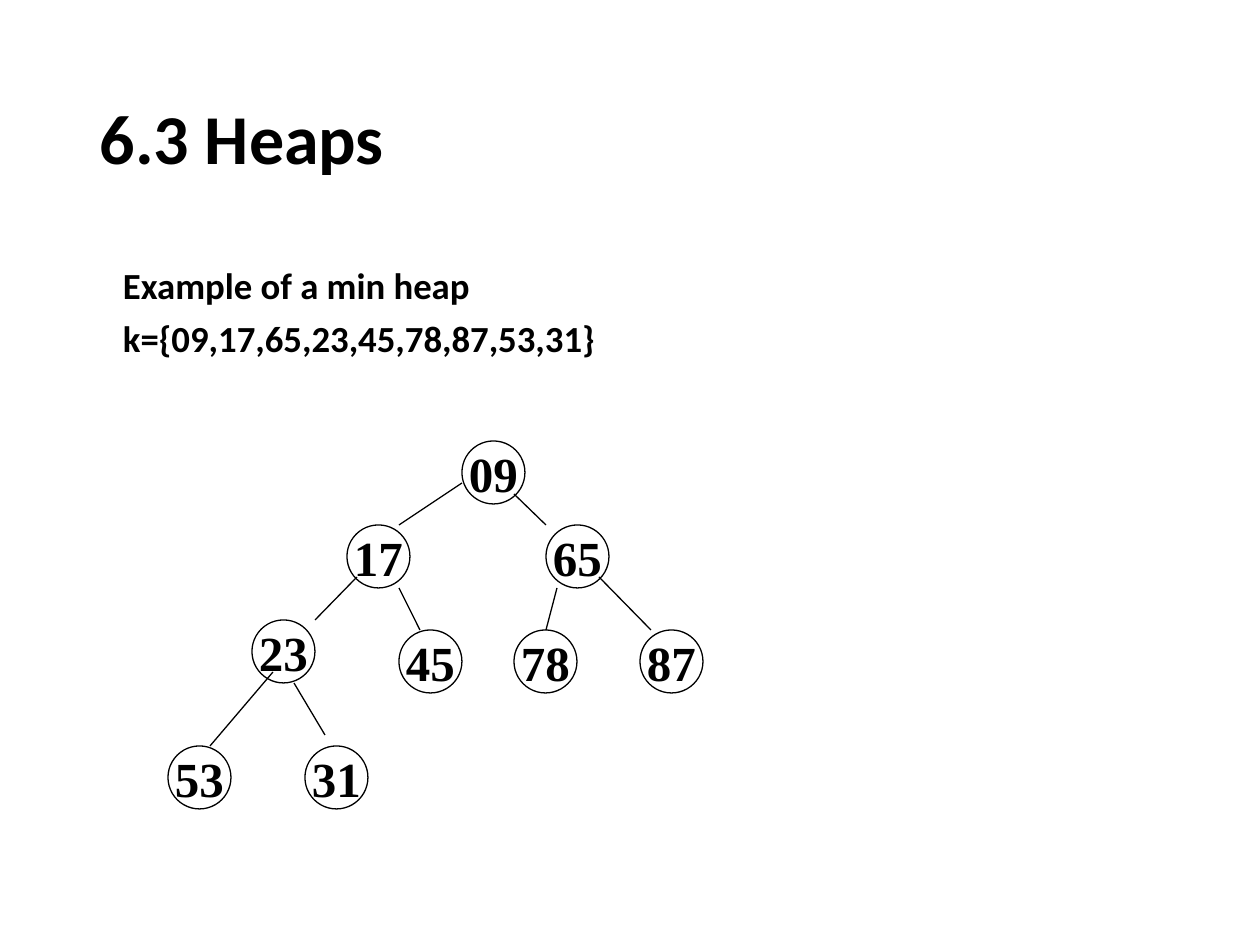
"""Builds the slide on heaps with a min heap drawn as a tree."""
import pptx
import pptx.dml.color
import pptx.enum.shapes
import pptx.enum.text
import pptx.oxml
import pptx.oxml.ns
import pptx.util

EMU_PER_PIXEL = 914400 / 126
BLACK = "000000"
NODE_SIZE = 63
LINE_WIDTH = 0.74

HEAP_NODES = {
    "09": (462, 441),
    "17": (347, 525),
    "23": (252, 620),
    "45": (399, 630),
    "65": (546, 525),
    "78": (514, 630),
    "53": (168, 746),
    "87": (640, 630),
    "31": (305, 746),
}
HEAP_EDGES = [
    (462, 483, 399, 525),
    (514, 494, 546, 525),
    (357, 577, 315, 620),
    (273, 672, 210, 746),
    (399, 588, 420, 630),
    (294, 683, 325, 735),
    (557, 588, 546, 630),
    (599, 577, 651, 630),
]


def px(pixels):
    """Turn pixels into EMU."""
    return pptx.util.Emu(round(pixels * EMU_PER_PIXEL))


def color(hex_value):
    """Turn a hex string into a colour."""
    return pptx.dml.color.RGBColor.from_string(hex_value)


def format_text(frame, font, size, align, before=0, spacing=1.0):
    """Format every paragraph and run of a text frame in bold black."""
    for paragraph in frame.paragraphs:
        paragraph.alignment = align
        paragraph.space_before = pptx.util.Pt(before)
        paragraph.line_spacing = spacing
        for run in paragraph.runs:
            run.font.name = font
            run.font.size = pptx.util.Pt(size)
            run.font.bold = True
            run.font.color.rgb = color(BLACK)


def style_line(line):
    """Give an outline or edge the thin black stroke."""
    line.color.rgb = color(BLACK)
    line.width = pptx.util.Pt(LINE_WIDTH)


def set_title(slide, text):
    """Place and format the title."""
    title = slide.shapes.title
    title.left, title.top, title.width, title.height = map(px, (87, 50, 1087, 183))
    title.text_frame.text = text
    title.text_frame.vertical_anchor = pptx.enum.text.MSO_ANCHOR.MIDDLE
    format_text(title.text_frame, "Calibri", 40, pptx.enum.text.PP_ALIGN.LEFT, spacing=0.9)


def add_description(slide, lines):
    """Add the paragraphs that introduce the heap."""
    description = slide.shapes.add_textbox(*map(px, (94, 262, 1071, 567)))
    frame = description.text_frame
    frame.word_wrap = True
    frame.margin_left = px(29)
    frame.text = "\n".join(lines)
    format_text(frame, "Calibri", 21, pptx.enum.text.PP_ALIGN.LEFT, 7.5, 0.9)


def add_node(slide, key, left, top):
    """Add one circled heap key."""
    node = slide.shapes.add_shape(
        pptx.enum.shapes.MSO_SHAPE.OVAL, px(left), px(top), px(NODE_SIZE), px(NODE_SIZE)
    )
    node.shadow.inherit = False
    node.fill.background()
    style_line(node.line)
    frame = node.text_frame
    frame.text = key
    frame.word_wrap = False
    frame.vertical_anchor = pptx.enum.text.MSO_ANCHOR.MIDDLE
    format_text(frame, "Times New Roman", 28, pptx.enum.text.PP_ALIGN.CENTER, 7)


def add_edge(slide, ends):
    """Add one line between a parent and a child."""
    edge = slide.shapes.add_connector(
        pptx.enum.shapes.MSO_CONNECTOR.STRAIGHT, *map(px, ends)
    )
    style_line(edge.line)
    edge._element.spPr.append(
        pptx.oxml.parse_xml("<a:effectLst %s/>" % pptx.oxml.ns.nsdecls("a"))
    )


def main():
    """Build and save the slide."""
    deck = pptx.Presentation()
    deck.slide_width, deck.slide_height = px(1260), px(945)
    slide = deck.slides.add_slide(deck.slide_layouts.get_by_name("Title Only"))
    set_title(slide, "6.3 Heaps")
    add_description(slide, ["Example of a min heap", "k={09,17,65,23,45,78,87,53,31}"])
    for key, (left, top) in HEAP_NODES.items():
        add_node(slide, key, left, top)
    for ends in HEAP_EDGES:
        add_edge(slide, ends)
    deck.save("out.pptx")


main()
